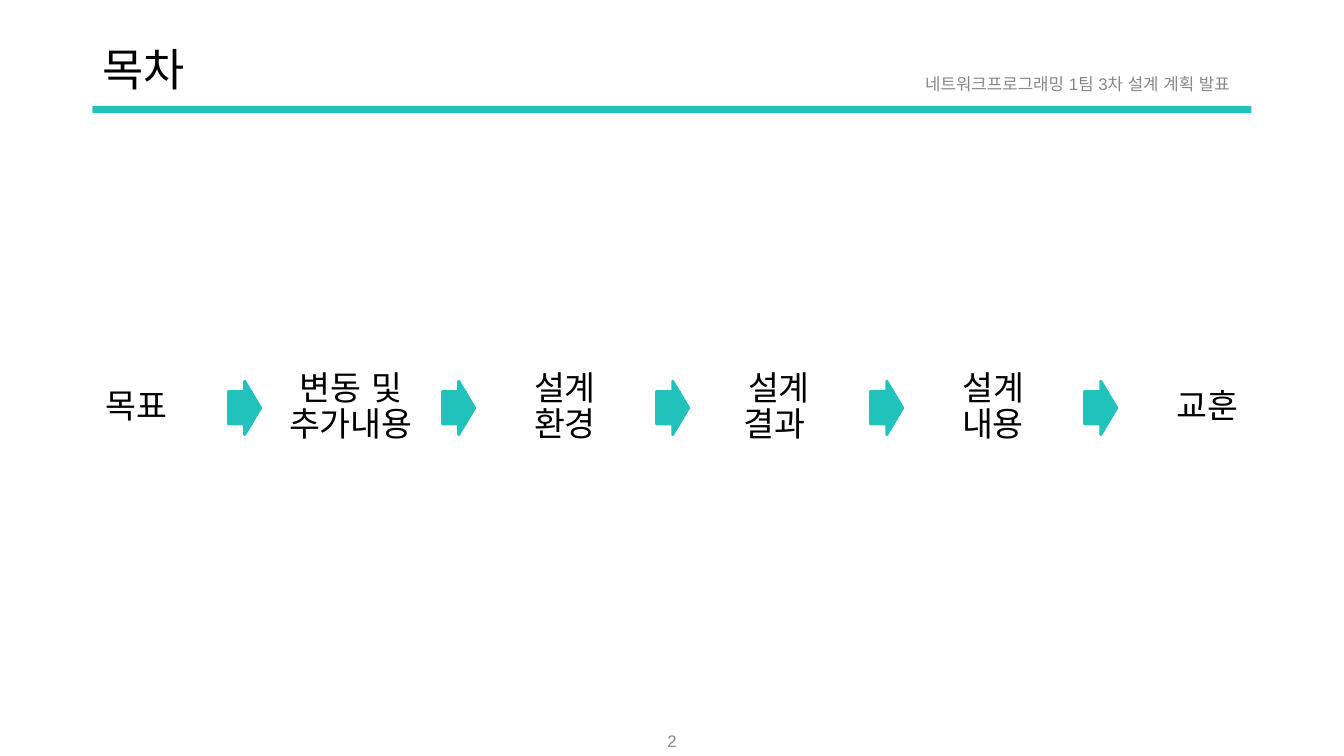
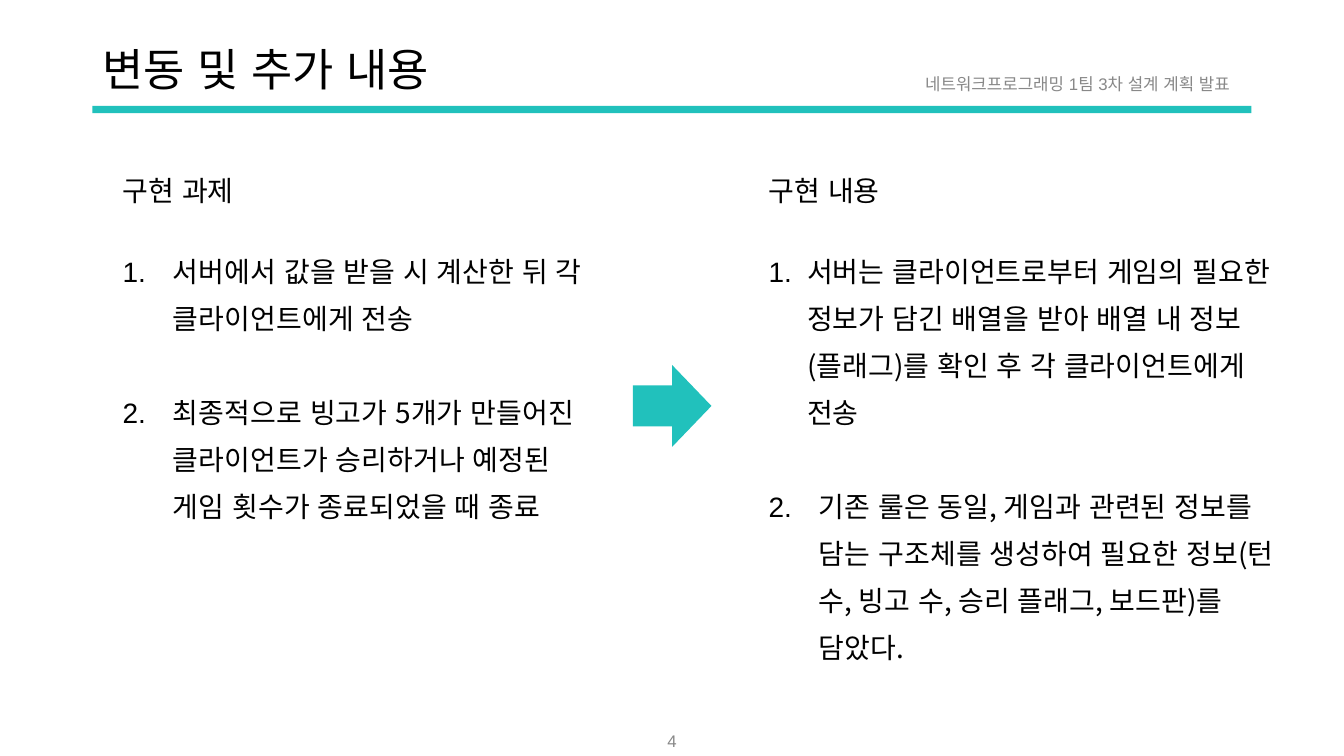
"""Builds the agenda slide and the changes slide of a design presentation."""
import pptx
import pptx.dml.color
import pptx.enum.shapes
import pptx.enum.text
import pptx.oxml
import pptx.oxml.ns
import pptx.util

Cm = pptx.util.Cm
Pt = pptx.util.Pt
RGBColor = pptx.dml.color.RGBColor
MSO_SHAPE = pptx.enum.shapes.MSO_SHAPE
MSO_ANCHOR = pptx.enum.text.MSO_ANCHOR
PP_ALIGN = pptx.enum.text.PP_ALIGN

TEAL = RGBColor(0x21, 0xC1, 0xBC)
WHITE = RGBColor(0xFF, 0xFF, 0xFF)
BLACK = RGBColor(0, 0, 0)
GRAY = RGBColor(0x88, 0x88, 0x88)
BODY_FONT = "Noto Sans CJK KR"
SMALL_FONT = "Arial"
EAST_ASIAN_FONT = "Arial"

HEADER = "네트워크프로그래밍 1팀 3차 설계 계획 발표"
AGENDA_TITLE, AGENDA_PAGE = "목차", "2"
AGENDA = ["목표", "변동 및 추가내용", "설계 환경", "설계 결과 ", "설계 내용", "교훈"]
CHANGES_TITLE, CHANGES_PAGE = "변동 및 추가 내용", "4"
COLUMNS = [
    {
        "box": (2.34, 4.24, 12.9, 10),
        "heading": "구현 과제",
        "items": [
            ("서버에서 값을 받을 시 계산한 뒤 각 클라이언트에게 전송", 1.27),
            ("최종적으로 빙고가 5개가 만들어진 클라이언트가 승리하거나 예정된 "
             "게임 횟수가 종료되었을 때 종료", 1.27),
        ],
    },
    {
        "box": (18.62, 4.24, 14.25, 13.6),
        "heading": "구현 내용",
        "items": [
            ("서버는 클라이언트로부터 게임의 필요한 정보가 담긴 배열을 받아 "
             "배열 내 정보(플래그)를 확인 후 각 클라이언트에게 전송", 0.97),
            ("기존 룰은 동일, 게임과 관련된 정보를 담는 구조체를 생성하여 필요한 "
             "정보(턴 수, 빙고 수, 승리 플래그, 보드판)를 담았다.", 1.27),
        ],
    },
]
TEXT_INDENT = 0.5
HEADING_GAP, ITEM_GAP = 24.5, 33.5

CARD_LEFT, CARD_TOP, CARD_WIDTH, CARD_HEIGHT = 1.52, 8.34, 3.86, 3.88
STEP_PITCH, LABEL_MARGIN, LABEL_INSET = 5.394, 0.1, 0.19
ARROW_OFFSET, ARROW_WIDTH, ARROW_HEIGHT = 4.24, 0.81, 1.35
SHAFT_WIDTH, SHAFT_RATIO = 0.58, 0.6


def add_run(p, text, size, font=BODY_FONT, color=BLACK):
    r = p.add_run()
    r.text = text
    r.font.size = Pt(size)
    r.font.name = font
    r.font.color.rgb = color
    r.font._element.append(pptx.oxml.parse_xml(
        f'<a:ea {pptx.oxml.ns.nsdecls("a")} typeface="{EAST_ASIAN_FONT}"/>'))


def add_box(s, box):
    tf = s.shapes.add_textbox(*map(Cm, box)).text_frame
    tf.word_wrap = True
    return tf


def write_centered(tf, text, size, font=BODY_FONT, color=BLACK):
    tf.word_wrap = True
    tf.vertical_anchor = MSO_ANCHOR.MIDDLE
    p = tf.paragraphs[0]
    p.alignment = PP_ALIGN.CENTER
    add_run(p, text, size, font, color)
    return p


def add_filled(s, kind, box, color=TEAL, outline=0):
    sp = s.shapes.add_shape(kind, *map(Cm, box))
    sp.shadow.inherit = False
    sp.fill.solid()
    sp.fill.fore_color.rgb = color
    if outline:
        sp.line.color.rgb = color
        sp.line.width = Pt(outline)
    else:
        sp.line.fill.background()
    return sp


def add_slide(prs, title, page):
    s = prs.slides.add_slide(prs.slide_layouts.get_by_name("Title Only"))
    sp = s.shapes.title
    sp.left, sp.top, sp.width, sp.height = map(Cm, (2.33, 1.02, 29.21, 1.6))
    tf = sp.text_frame
    tf.vertical_anchor = MSO_ANCHOR.MIDDLE
    p = tf.paragraphs[0]
    p.alignment = PP_ALIGN.LEFT
    p.line_spacing = 0.9
    add_run(p, title, 32)
    add_filled(s, MSO_SHAPE.RECTANGLE, (2.33, 2.67, 29.21, 0.18))
    for box, text in (((21.44, 1.6, 11.43, 1.02), HEADER),
                      ((16.4, 18.16, 1.07, 1.02), page)):
        write_centered(add_box(s, box), text, 12, SMALL_FONT, GRAY)
    return s


def indent(p, hanging=0.0):
    pPr = p._p.get_or_add_pPr()
    pPr.set("marL", str(Cm(TEXT_INDENT + hanging)))
    pPr.set("indent", str(-Cm(hanging)))
    return pPr


def add_number(p, hanging):
    bullet = pptx.oxml.parse_xml(
        f'<a:buAutoNum {pptx.oxml.ns.nsdecls("a")} type="arabicPeriod"/>')
    indent(p, hanging).append(bullet)


def add_step(s, left, text):
    card = add_filled(s, MSO_SHAPE.ROUNDED_RECTANGLE,
                      (left, CARD_TOP, CARD_WIDTH, CARD_HEIGHT), WHITE)
    card.adjustments[0] = 0.1
    label = add_filled(s, MSO_SHAPE.RECTANGLE,
                       (left + LABEL_MARGIN, CARD_TOP + LABEL_MARGIN,
                        CARD_WIDTH - 2 * LABEL_MARGIN,
                        CARD_HEIGHT - 2 * LABEL_MARGIN), WHITE)
    tf = label.text_frame
    tf.margin_left = tf.margin_right = Cm(LABEL_INSET)
    tf.margin_top = tf.margin_bottom = Cm(LABEL_INSET)
    write_centered(tf, text, 24).line_spacing = 0.9


def add_step_arrow(s, left):
    middle = CARD_TOP + CARD_HEIGHT / 2
    arrow = add_filled(s, MSO_SHAPE.RIGHT_ARROW,
                       (left, middle - ARROW_HEIGHT / 2, ARROW_WIDTH, ARROW_HEIGHT),
                       outline=2)
    arrow.adjustments[0] = SHAFT_RATIO
    shaft = ARROW_HEIGHT * SHAFT_RATIO
    add_filled(s, MSO_SHAPE.RECTANGLE,
               (left, middle - shaft / 2, SHAFT_WIDTH, shaft), outline=2)


def build_agenda(prs):
    s = add_slide(prs, AGENDA_TITLE, AGENDA_PAGE)
    for i, step in enumerate(AGENDA):
        left = CARD_LEFT + i * STEP_PITCH
        add_step(s, left, step)
        if i < len(AGENDA) - 1:
            add_step_arrow(s, left + ARROW_OFFSET)


def build_changes(prs):
    s = add_slide(prs, CHANGES_TITLE, CHANGES_PAGE)
    for column in COLUMNS:
        tf = add_box(s, column["box"])
        p = tf.paragraphs[0]
        indent(p)
        add_run(p, column["heading"], 20)
        for i, (text, hanging) in enumerate(column["items"]):
            p = tf.add_paragraph()
            add_number(p, hanging)
            p.line_spacing = 1.4
            p.space_before = Pt(ITEM_GAP if i else HEADING_GAP)
            add_run(p, text, 20)
    add_filled(s, MSO_SHAPE.RIGHT_ARROW, (15.95, 9.2, 1.98, 2.06))


def main():
    prs = pptx.Presentation()
    prs.slide_width, prs.slide_height = Cm(33.87), Cm(19.05)
    build_agenda(prs)
    build_changes(prs)
    prs.save("out.pptx")


if __name__ == "__main__":
    main()
